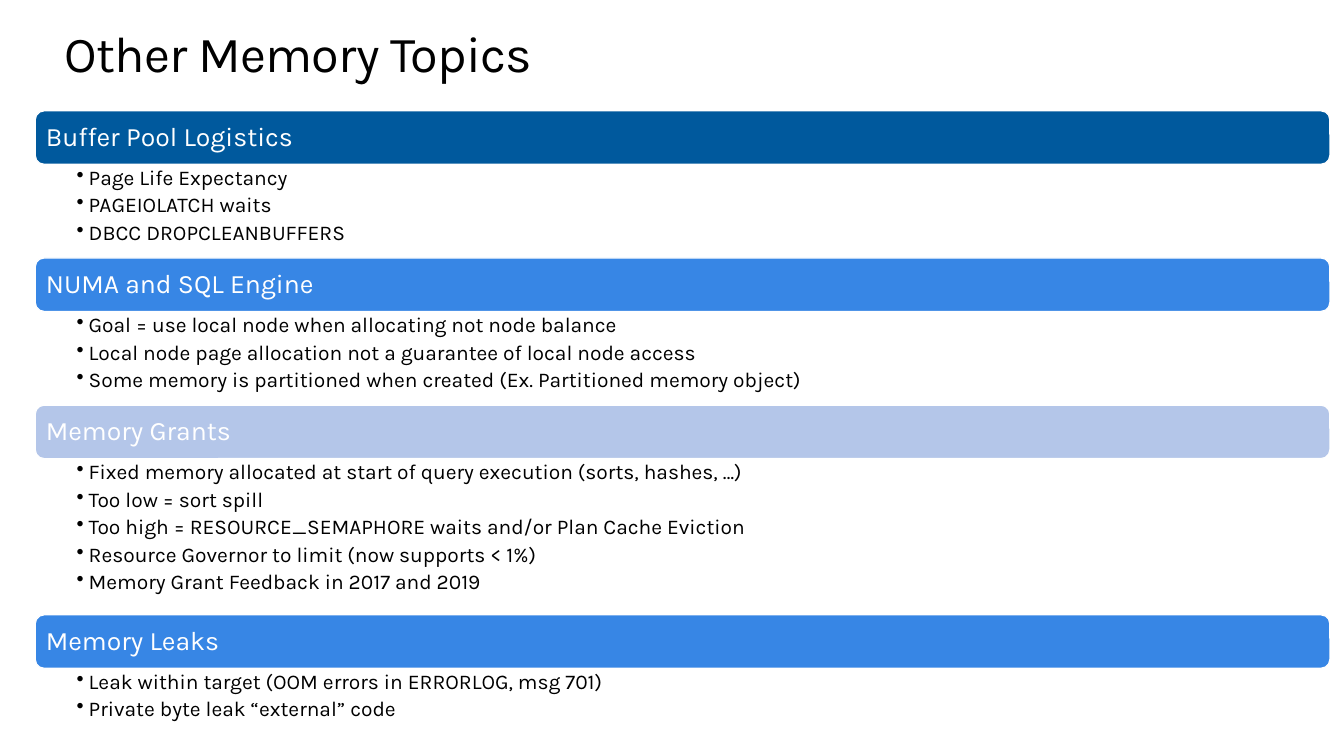
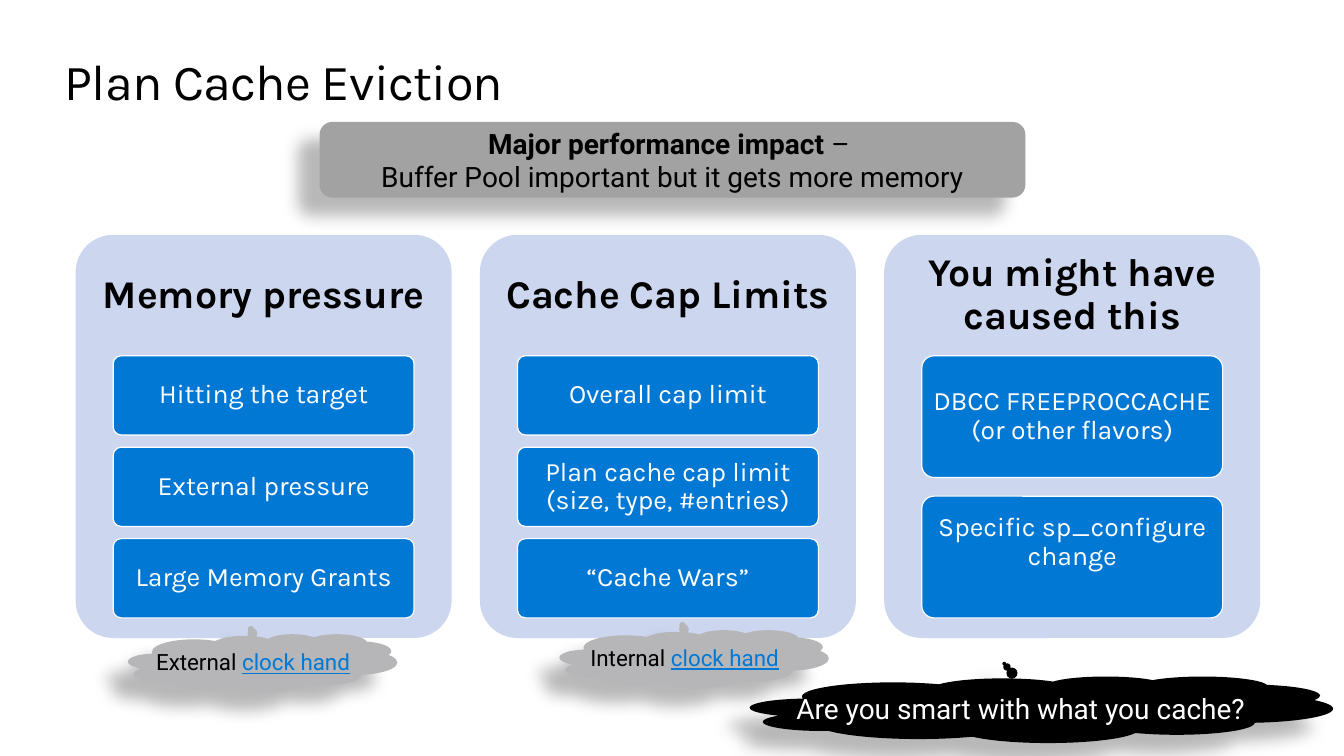
from lxml.etree import SubElement
from pptx import Presentation
from pptx.dml.color import RGBColor
from pptx.enum.shapes import MSO_SHAPE as Shape
from pptx.enum.text import MSO_ANCHOR as Anchor, MSO_AUTO_SIZE as AutoSize, PP_ALIGN as Align
from pptx.oxml.ns import qn
from pptx.util import Emu, Inches, Pt

WIDTH, HEIGHT = 13.33, 7.5
HEADING_FONT, NOTE_FONT = "Karla", "Roboto"
COLORS = {
    "text": "000000", "inverse": "FFFFFF",
    "navy": "00599D", "blue": "3786E5", "pale": "B4C6E9",
    "card": "CCD6EF", "tile": "0078D4", "link": "0078D4",
    "banner": "A2A2A2", "cloud": "B6B6B8",
}

TOPICS = [
    ("Buffer Pool Logistics", "navy",
     ["Page Life Expectancy", "PAGEIOLATCH waits", "DBCC DROPCLEANBUFFERS"]),
    ("NUMA and SQL Engine", "blue",
     ["Goal = use local node when allocating not node balance",
      "Local node page allocation not a guarantee of local node access",
      "Some memory is partitioned when created (Ex. Partitioned memory object)"]),
    ("Memory Grants", "pale",
     ["Fixed memory allocated at start of query execution (sorts, hashes, …)",
      "Too low = sort spill",
      "Too high = RESOURCE_SEMAPHORE waits and/or Plan Cache Eviction",
      "Resource Governor to limit (now supports < 1%)",
      "Memory Grant Feedback in 2017 and 2019"]),
    ("Memory Leaks", "blue",
     ["Leak within target (OOM errors in ERRORLOG, msg 701)",
      "Private byte leak “external” code"]),
]

CAUSES = [
    ("Memory pressure",
     ["Hitting the target", "External pressure", "Large Memory Grants"]),
    ("Cache Cap Limits",
     ["Overall cap limit", "Plan cache cap limit (size, type, #entries)", "“Cache Wars”"]),
    ("You might have caused this",
     ["DBCC FREEPROCCACHE (or other flavors)", "Specific sp_configure change"]),
]


def rgb(name):
    return RGBColor.from_string(COLORS[name])


# Shared building blocks; every box is (left, top, width, height) in inches
def add_block(page, kind, box, fill, adjust=(), outline=False):
    shape = page.shapes.add_shape(kind, *map(Inches, box))
    shape.shadow.inherit = False
    shape.fill.solid()
    shape.fill.fore_color.rgb = rgb(fill)
    if outline:
        shape.line.color.rgb = rgb("inverse")
        shape.line.width = Pt(0.85)
    else:
        shape.line.fill.background()
    for index, value in enumerate(adjust):
        shape.adjustments[index] = value
    return shape


def format_span(span, size, color="text", font=HEADING_FONT, bold=False):
    span.font.name = font
    span.font.size = Pt(size)
    span.font.bold = bold
    span.font.color.rgb = rgb(color)


def set_text(shape, text, size, color="text", font=HEADING_FONT, bold=False,
             align=Align.LEFT, anchor=Anchor.MIDDLE, insets=(0, 0, 0, 0),
             spacing=None, wrap=True):
    frame = shape.text_frame
    frame.text = text
    frame.word_wrap = wrap
    frame.vertical_anchor = anchor
    (frame.margin_left, frame.margin_top,
     frame.margin_right, frame.margin_bottom) = map(Inches, insets)
    for para in frame.paragraphs:
        para.alignment = align
        para.line_spacing = spacing
        for span in para.runs:
            format_span(span, size, color, font, bold)
    return frame


def add_title(page, text, top):
    box = page.shapes.add_textbox(*map(Inches, (0.64, top, 12.05, 0.61)))
    frame = set_text(box, text, 36, anchor=Anchor.TOP)
    frame.auto_size = AutoSize.SHAPE_TO_FIT_TEXT
    frame.paragraphs[0].runs[0].font._element.set("spc", "-50")


def add_bullet(para):
    props = para._p.get_or_add_pPr()
    props.set("marL", str(Inches(0.12)))
    props.set("indent", str(-Inches(0.12)))
    SubElement(props, qn("a:buChar"), char="•")


def add_shadow(shape):
    effects = shape._element.spPr.find(qn("a:effectLst"))
    shadow = SubElement(effects, qn("a:outerShdw"), blurRad=str(Pt(11.8)),
                        dist=str(Pt(19.7)), dir=str(141 * 60000),
                        algn="ctr", rotWithShape="0")
    color = SubElement(shadow, qn("a:srgbClr"), val=COLORS["text"])
    SubElement(color, qn("a:alpha"), val="28000")


def add_note(page, kind, box, fill, text, size, color="text", adjust=(), bold=False):
    shape = add_block(page, kind, box, fill, adjust)
    add_shadow(shape)
    return set_text(shape, text, size, color, NOTE_FONT, bold, Align.CENTER,
                    insets=(0.1, 0.05, 0.1, 0.05), wrap=False)


# Topic list: a coloured bar with bullets under it
def add_topic(page, left, top, width, topic):
    heading, fill, points = topic
    bar_height, body_height = 0.53, 0.31 * len(points)
    bar = add_block(page, Shape.ROUNDED_RECTANGLE, (left, top, width, bar_height),
                    fill, outline=True)
    set_text(bar, heading, 19, "inverse", insets=(0.08,) * 4, spacing=0.9)
    body = page.shapes.add_textbox(
        *map(Inches, (left, top + bar_height, width, body_height)))
    frame = set_text(body, "\n".join(points), 15, anchor=Anchor.TOP,
                     insets=(0.41, 0.03, 0.15, 0.03), spacing=0.9)
    for para in frame.paragraphs:
        para.space_after = Pt(3.4)
        add_bullet(para)
    return top + bar_height + body_height


# Cause card: heading in the top 30 %, tiles sharing the next 65 %
def add_card(page, box, cause):
    left, top, width, height = box
    heading, labels = cause
    add_block(page, Shape.ROUNDED_RECTANGLE, box, "card", [0.1])
    header = page.shapes.add_textbox(*map(Inches, (left, top, width, height * 0.3)))
    set_text(header, heading, 28, bold=True, align=Align.CENTER,
             insets=(0.12,) * 4, spacing=0.9)
    count, gap_share = len(labels), 0.154
    tile_height = height * 0.65 / (count + (count - 1) * gap_share)
    tiles = []
    for row, label in enumerate(labels):
        tile_top = top + height * 0.3 + row * tile_height * (1 + gap_share)
        tile = add_block(page, Shape.ROUNDED_RECTANGLE,
                         (left + width * 0.1, tile_top, width * 0.8, tile_height),
                         "tile", [0.1], outline=True)
        set_text(tile, label, 19, "inverse", align=Align.CENTER,
                 insets=(0.05, 0.04, 0.05, 0.04), spacing=0.9)
        tiles.append(tile)
    return tiles


def add_clock_hand(page, left, top, label):
    frame = add_note(page, Shape.CLOUD_CALLOUT, (left, top, 2.67, 0.58), "cloud",
                     label + " ", 16, adjust=(-0.044, -0.596))
    span = frame.paragraphs[0].add_run()
    span.text = "clock hand"
    format_span(span, 16, "link", NOTE_FONT)
    span.font.underline = True


def add_banner(page, box):
    frame = add_note(page, Shape.ROUNDED_RECTANGLE, box, "banner",
                     "Major performance impact \n"
                     "Buffer Pool important but it gets more memory", 20)
    first = frame.paragraphs[0]
    first.runs[0].font.bold = True
    dash = first.add_run()
    dash.text = "– "
    format_span(dash, 20, font=NOTE_FONT)


# Slides
def build_topics(page):
    add_title(page, "Other Memory Topics", 0.22)
    top = 1.1
    for topic in TOPICS:
        top = add_topic(page, 0.35, top, 12.84, topic)


def build_eviction(page):
    add_title(page, "Plan Cache Eviction", 0.5)
    card_width = 3.73
    for column, cause in enumerate(CAUSES):
        left = 0.75 + column * card_width * 1.075
        tiles = add_card(page, (left, 2.33, card_width, 4), cause)
    # The last tile carries its label above the middle
    tiles[-1].text_frame.margin_bottom = Inches(0.33)
    add_note(page, Shape.CLOUD_CALLOUT, (7.44, 6.71, 5.78, 0.66), "text",
             "Are you smart with what you cache?", 20, "inverse", (-0.064, -0.691))
    add_clock_hand(page, 1.27, 6.29, "External")
    add_clock_hand(page, 5.55, 6.25, "Internal")
    add_banner(page, (3.17, 1.21, 7, 0.75))


def main():
    deck = Presentation()
    deck.slide_width, deck.slide_height = Emu(Inches(WIDTH)), Emu(Inches(HEIGHT))
    for build in (build_topics, build_eviction):
        build(deck.slides.add_slide(deck.slide_layouts[6]))
    deck.save("out.pptx")


if __name__ == "__main__":
    main()
